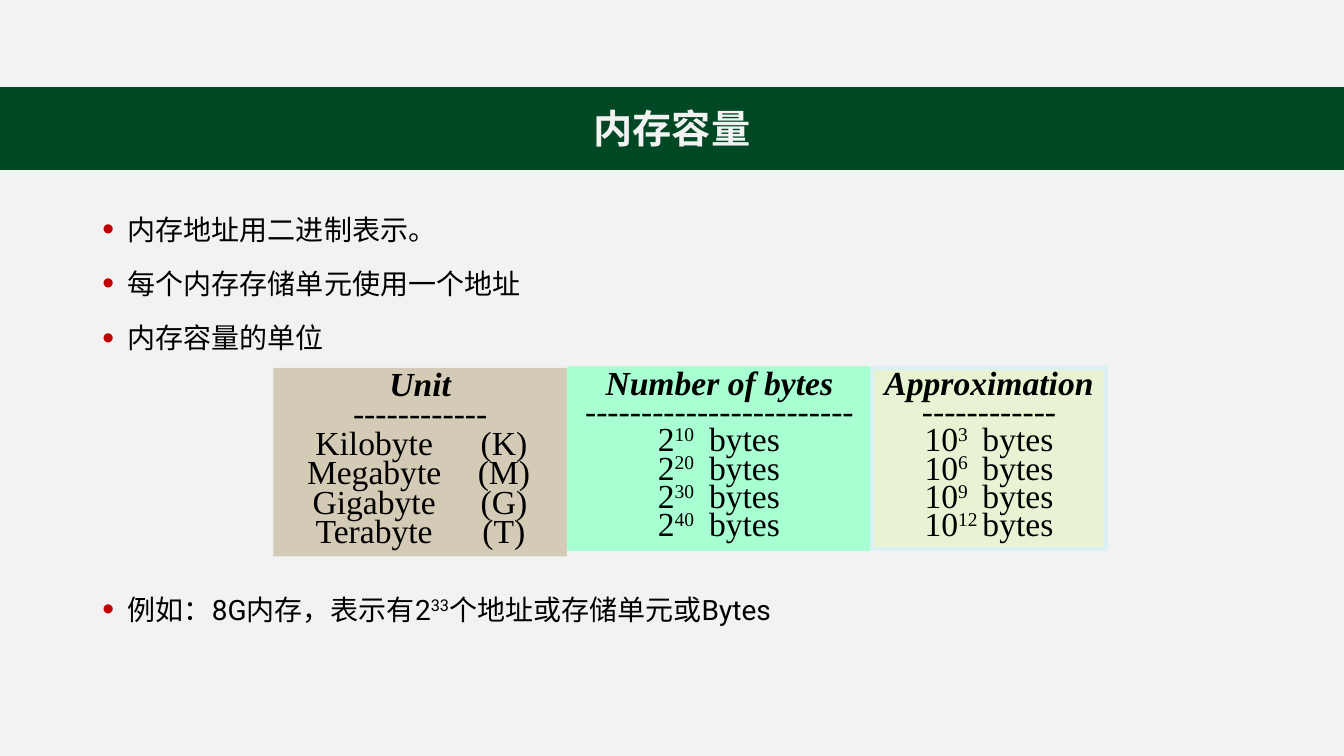
from dataclasses import dataclass

from lxml import etree
from pptx import Presentation
from pptx.dml.color import RGBColor
from pptx.enum.shapes import MSO_SHAPE
from pptx.enum.text import MSO_ANCHOR, MSO_AUTO_SIZE, PP_ALIGN
from pptx.oxml.ns import qn
from pptx.util import Cm, Pt

RECTANGLE = MSO_SHAPE.RECTANGLE
TOP, MIDDLE = MSO_ANCHOR.TOP, MSO_ANCHOR.MIDDLE
LEFT, CENTER = PP_ALIGN.LEFT, PP_ALIGN.CENTER
NO_AUTO_SIZE = MSO_AUTO_SIZE.NONE
TITLE_ONLY = 5


@dataclass(frozen=True)
class Theme:
    background: str = "F2F2F2"
    banner: str = "004723"
    text: str = "000000"
    bullet: str = "C00000"
    east_asian_font: str = "Noto Sans CJK SC"
    latin_font: str = "Roboto"
    column_font: str = "Times New Roman"
    title_size: int = 28
    body_size: int = 20
    column_size: int = 24


def apply(target, formats):
    for name, value in formats.items():
        setattr(target, name, value)


class SlideBuilder:
    def __init__(self, presentation, theme):
        self.theme = theme
        self.slide = presentation.slides.add_slide(presentation.slide_layouts[TITLE_ONLY])
        self.paint(self.slide.background, theme.background)

    def paint(self, target, color):
        target.fill.solid()
        target.fill.fore_color.rgb = RGBColor.from_string(color)

    def outline(self, shape, color, width):
        if color is None:
            shape.line.fill.background()
            return
        shape.line.color.rgb = RGBColor.from_string(color)
        shape.line.width = Pt(width)

    def place(self, shape, left, top, width, height):
        apply(shape, {"left": Cm(left), "top": Cm(top),
                      "width": Cm(width), "height": Cm(height)})

    def add_run(self, paragraph, text, font, size, color, superscript=False, **formats):
        run = paragraph.add_run()
        run.text = text
        apply(run.font, {"name": font, "size": Pt(size), **formats})
        run.font.color.rgb = RGBColor.from_string(color)
        properties = run.font._element
        if superscript:
            properties.set("baseline", "30000")
        latin = properties.find(qn("a:latin"))
        east_asian = etree.Element(qn("a:ea"), typeface=self.theme.east_asian_font)
        latin.addnext(east_asian)

    def add_parts(self, paragraph, parts, font, size, **formats):
        """Write alternating normal and superscript parts."""
        for index, part in enumerate(parts):
            self.add_run(paragraph, part, font, size, self.theme.text,
                         superscript=index % 2 == 1, **formats)

    def add_bullet(self, paragraph):
        properties = paragraph._p.get_or_add_pPr()
        properties.set("marL", str(Cm(0.64)))
        properties.set("indent", str(-Cm(0.64)))
        color = etree.SubElement(properties, qn("a:buClr"))
        etree.SubElement(color, qn("a:srgbClr"), val=self.theme.bullet)
        etree.SubElement(properties, qn("a:buSzPct"), val="120000")
        etree.SubElement(properties, qn("a:buFont"), typeface="Arial")
        etree.SubElement(properties, qn("a:buChar"), char="•")

    def add_tabs(self, paragraph, positions, alignment):
        tabs = etree.SubElement(paragraph._p.get_or_add_pPr(), qn("a:tabLst"))
        for position in positions:
            etree.SubElement(tabs, qn("a:tab"), pos=str(Cm(position)), algn=alignment)

    def paragraphs(self, frame, count):
        return [frame.paragraphs[0]] + [frame.add_paragraph() for _ in range(count - 1)]

    def add_title(self, text, box):
        title = self.slide.shapes.title
        self.place(title, *box)
        self.paint(title, self.theme.banner)
        self.outline(title, self.theme.banner, 1)
        apply(title.text_frame, {"vertical_anchor": MIDDLE, "auto_size": NO_AUTO_SIZE})
        paragraph = title.text_frame.paragraphs[0]
        paragraph.alignment = CENTER
        self.add_run(paragraph, text, self.theme.east_asian_font, self.theme.title_size,
                     self.theme.background, bold=True)

    def add_bullets(self, items, box):
        frame = self.slide.shapes.add_textbox(*map(Cm, box)).text_frame
        frame.word_wrap = True
        for paragraph, (space, parts) in zip(self.paragraphs(frame, len(items)), items):
            apply(paragraph, {"line_spacing": 1.2, "space_before": Pt(space)})
            self.add_bullet(paragraph)
            self.add_parts(paragraph, parts, self.theme.latin_font, self.theme.body_size)

    def add_column(self, box, fill, line, heading, rule, rows, tabs, tab_alignment, spacing):
        shape = self.slide.shapes.add_shape(RECTANGLE, *map(Cm, box))
        shape.shadow.inherit = False
        self.paint(shape, fill)
        self.outline(shape, line, 3)
        frame = shape.text_frame
        apply(frame, {"word_wrap": True, "vertical_anchor": TOP})
        lines = [[heading], [rule], *rows]
        for index, paragraph in enumerate(self.paragraphs(frame, len(lines))):
            is_row = index > 1
            apply(paragraph, {"alignment": LEFT if is_row else CENTER,
                              "line_spacing": spacing})
            if is_row:
                self.add_tabs(paragraph, tabs, tab_alignment)
            self.add_parts(paragraph, lines[index], self.theme.column_font,
                           self.theme.column_size, bold=index == 0, italic=index == 0)


def power_rows(base, exponents):
    return [[f"\t{base}", str(exponent), "\tbytes"] for exponent in exponents]


def main():
    presentation = Presentation()
    apply(presentation, {"slide_width": Cm(33.87), "slide_height": Cm(19.05)})
    builder = SlideBuilder(presentation, Theme())

    # Title banner
    builder.add_title("内存容量", (0, 2.2, 33.87, 2.06))

    # Bullets, with room for the unit columns before the last one
    builder.add_bullets([
        (0, ["内存地址用二进制表示。"]),
        (10, ["每个内存存储单元使用一个地址"]),
        (10, ["内存容量的单位"]),
        (165, ["例如：8G内存，表示有2", "33", "个地址或存储单元或Bytes"]),
    ], (2.33, 5.05, 28.43, 12.1))

    # Unit columns
    units = ["Kilobyte", "Megabyte", "Gigabyte", "Terabyte"]
    unit_rows = [[f"\t{unit}\t({unit[0]})"] for unit in units]
    top = 9.27
    builder.add_column((6.89, top, 7.4, 4.75), "D3CBB6", None, "Unit", "-" * 12,
                       unit_rows, (2.29, 5.56), "ctr", 0.73)
    builder.add_column((14.35, top, 7.56, 4.56), "A7FFD2", "A7FFD2", "Number of bytes",
                       "-" * 24, power_rows(2, range(10, 50, 10)), (1.98, 3.27), "l", 0.7)
    builder.add_column((21.98, top, 5.89, 4.56), "E8F3D4", "DBF0F3", "Approximation",
                       "-" * 12, power_rows(10, range(3, 15, 3)), (1.07, 2.53), "l", 0.7)

    presentation.save("out.pptx")


if __name__ == "__main__":
    main()
